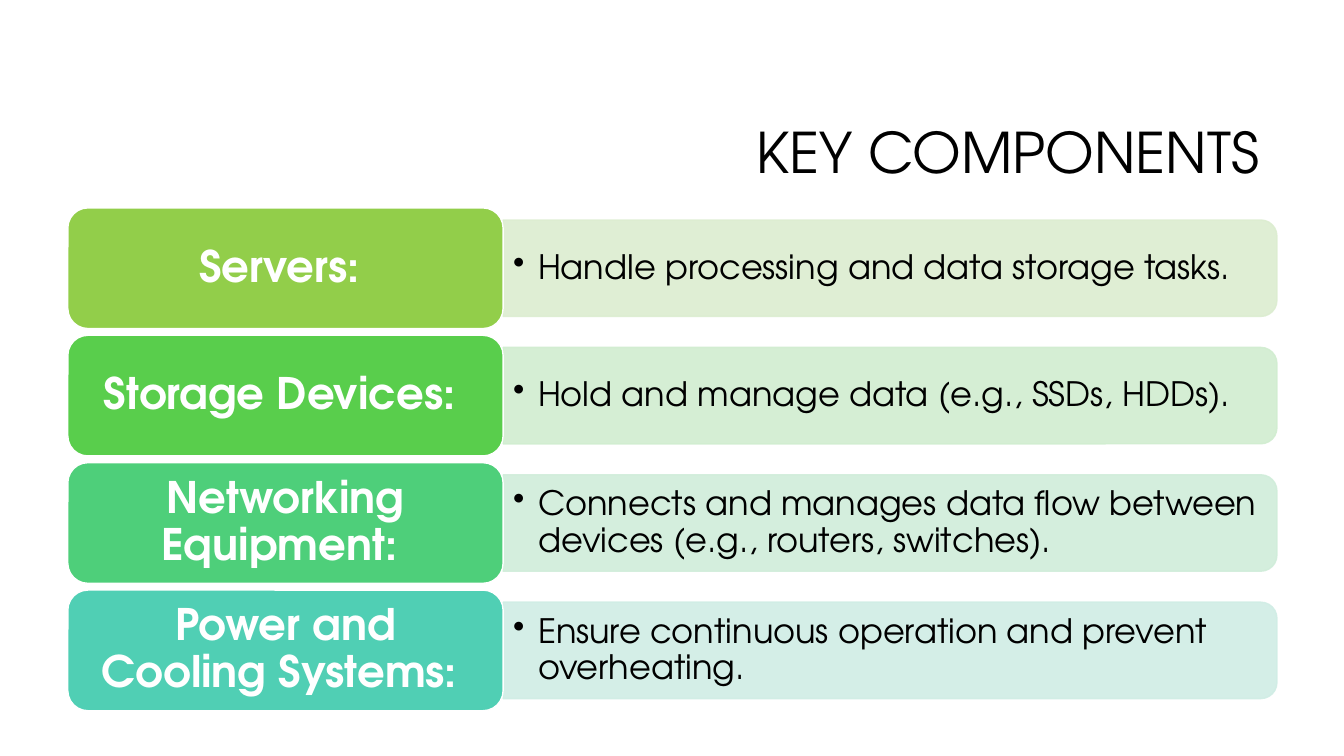
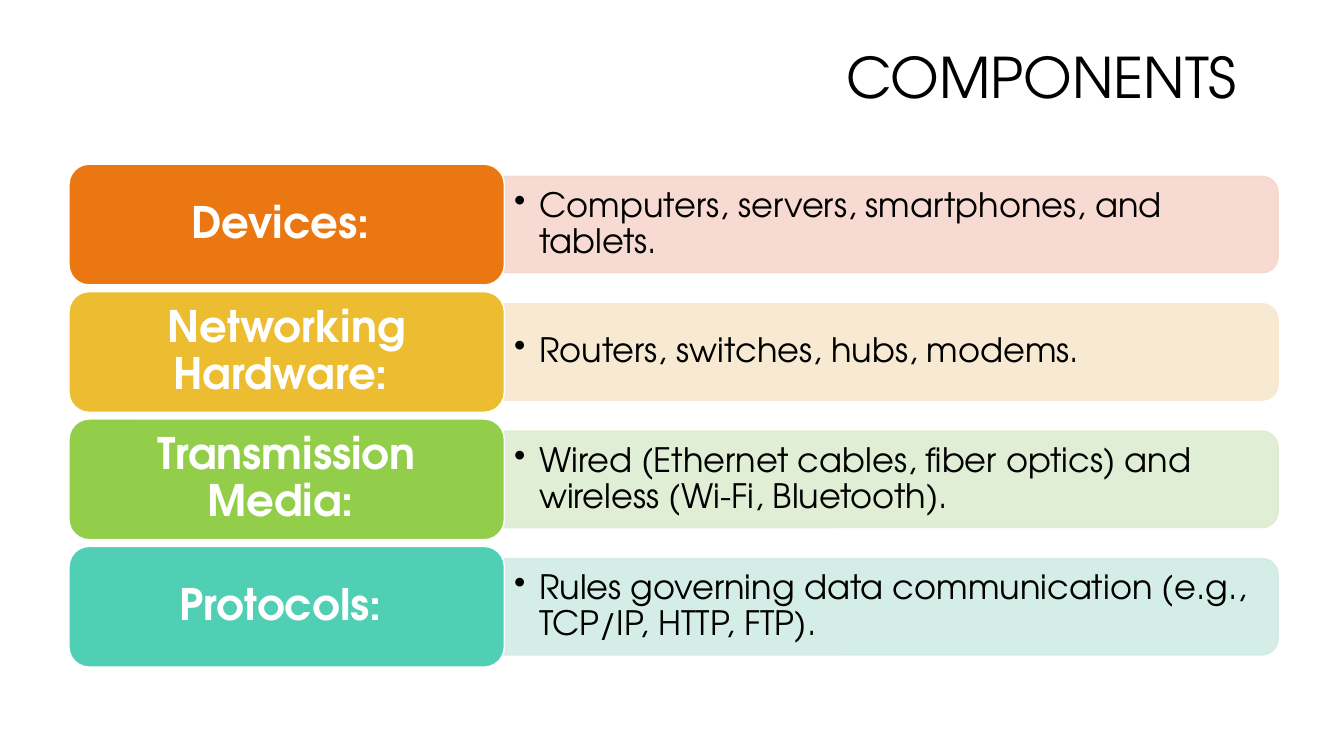
from dataclasses import dataclass

from lxml.etree import SubElement
from pptx import Presentation
from pptx.dml.color import RGBColor
from pptx.enum.shapes import MSO_SHAPE
from pptx.enum.text import MSO_ANCHOR, MSO_AUTO_SIZE, PP_ALIGN
from pptx.oxml.ns import qn
from pptx.util import Cm, Pt


@dataclass(frozen=True)
class Theme:
    font: str = "TeX Gyre Adventor"
    ink: str = "000000"
    paper: str = "FFFFFF"
    title_size: int = 40
    label_size: int = 31
    detail_size: int = 24
    line_spacing: float = 0.9
    panel_opacity: int = 90
    # Each accent pairs a label colour with its panel tint
    orange: tuple = ("EB7712", "F7D6CC")
    amber: tuple = ("ECBD31", "F8E8CE")
    lime: tuple = ("92CE4A", "DCEDD0")
    green: tuple = ("59CE4C", "D1EDD0")
    emerald: tuple = ("4ECF7A", "D0EDDA")
    teal: tuple = ("50CFB4", "D0EDE5")


THEME = Theme()

# Row geometry in centimetres
ROW_PITCH = 3.21
LABEL_W, LABEL_H = 10.97, 3.04
PANEL_W, PANEL_H = 19.5, 2.43
DETAIL_W = 19.38
BULLET_INDENT = 0.63


def write(shape, text, size, color=THEME.ink, bold=False,
          align=PP_ALIGN.LEFT, bullet=False, inset=(0.25, 0.13)):
    """Put one formatted, vertically centred paragraph in a shape."""
    tf = shape.text_frame
    tf.word_wrap = True
    tf.auto_size = MSO_AUTO_SIZE.NONE
    tf.vertical_anchor = MSO_ANCHOR.MIDDLE
    tf.margin_left = tf.margin_right = Cm(inset[0])
    tf.margin_top = tf.margin_bottom = Cm(inset[1])
    p = tf.paragraphs[0]
    p.alignment = align
    p.line_spacing = THEME.line_spacing
    if bullet:
        pPr = p._p.get_or_add_pPr()
        pPr.set("marL", str(Cm(BULLET_INDENT)))
        pPr.set("indent", str(-Cm(BULLET_INDENT)))
        SubElement(pPr, qn("a:buChar")).set("char", "•")
    r = p.add_run()
    r.text = text
    r.font.name = THEME.font
    r.font.size = Pt(size)
    r.font.bold = bold
    r.font.color.rgb = RGBColor.from_string(color)


def add_box(s, preset, left, top, width, height, fill, line, opacity=100):
    sp = s.shapes.add_shape(preset, Cm(left), Cm(top), Cm(width), Cm(height))
    sp.shadow.inherit = False
    sp.fill.solid()
    sp.fill.fore_color.rgb = RGBColor.from_string(fill)
    sp.line.color.rgb = RGBColor.from_string(line)
    sp.line.width = Pt(1)
    if opacity < 100:
        for clr in sp._element.spPr.iter(qn("a:srgbClr")):
            SubElement(clr, qn("a:alpha")).set("val", str(opacity * 1000))
    return sp


def add_title(s, text, left, top, width, height):
    title = s.shapes.title
    title.left, title.top = Cm(left), Cm(top)
    title.width, title.height = Cm(width), Cm(height)
    write(title, text, THEME.title_size, align=PP_ALIGN.RIGHT)


def add_row(s, left, top, label, detail, accent):
    strong, tint = accent
    panel_left = left + LABEL_W
    panel_top = top + (LABEL_H - PANEL_H) / 2

    # Panel: a quarter turn puts its two rounded corners on the right
    shift = (PANEL_W - PANEL_H) / 2
    panel = add_box(s, MSO_SHAPE.ROUND_2_SAME_RECTANGLE,
                    panel_left + shift, panel_top - shift, PANEL_H, PANEL_W,
                    tint, tint, THEME.panel_opacity)
    panel.rotation = 90

    # Detail text stays upright over the panel
    tb = s.shapes.add_textbox(Cm(panel_left), Cm(panel_top),
                              Cm(DETAIL_W), Cm(PANEL_H))
    write(tb, detail, THEME.detail_size, bullet=True)

    # Label
    box = add_box(s, MSO_SHAPE.ROUNDED_RECTANGLE, left, top,
                  LABEL_W, LABEL_H, strong, THEME.paper)
    write(box, label + " ", THEME.label_size, color=THEME.paper, bold=True,
          align=PP_ALIGN.CENTER, inset=(0.48, 0.3))


def add_component_slide(prs, title, title_box, left, top, rows):
    s = prs.slides.add_slide(prs.slide_layouts[5])
    add_title(s, title, *title_box)
    for i, row in enumerate(rows):
        add_row(s, left, top + i * ROW_PITCH, *row)


def main():
    prs = Presentation()
    prs.slide_width, prs.slide_height = Cm(33.87), Cm(19.05)

    add_component_slide(
        prs, "KEY COMPONENTS", (8.05, 2.13, 23.93, 3.58), 1.71, 5.24, [
            ("Servers:", "Handle processing and data storage tasks.",
             THEME.lime),
            ("Storage Devices:", "Hold and manage data (e.g., SSDs, HDDs).",
             THEME.green),
            ("Networking Equipment:",
             "Connects and manages data flow between devices "
             "(e.g., routers, switches).", THEME.emerald),
            ("Power and Cooling Systems:",
             "Ensure continuous operation and prevent overheating.",
             THEME.teal),
        ])

    add_component_slide(
        prs, "COMPONENTS", (0.94, 0.53, 30.48, 2.97), 1.74, 4.14, [
            ("Devices:", "Computers, servers, smartphones, and tablets.",
             THEME.orange),
            ("Networking Hardware:", "Routers, switches, hubs, modems.",
             THEME.amber),
            ("Transmission Media:",
             "Wired (Ethernet cables, fiber optics) and wireless "
             "(Wi-Fi, Bluetooth).", THEME.lime),
            ("Protocols:",
             "Rules governing data communication (e.g., TCP/IP, HTTP, FTP).",
             THEME.teal),
        ])

    prs.save("out.pptx")


if __name__ == "__main__":
    main()
